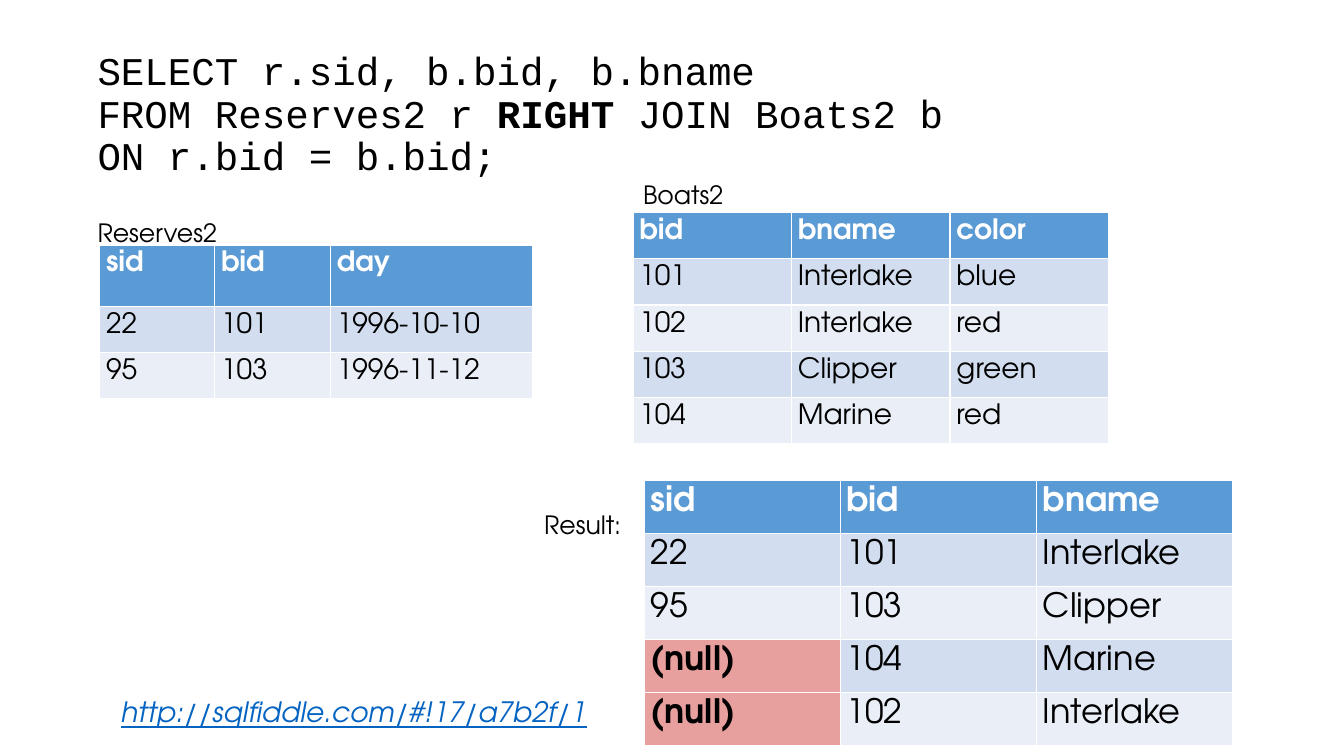
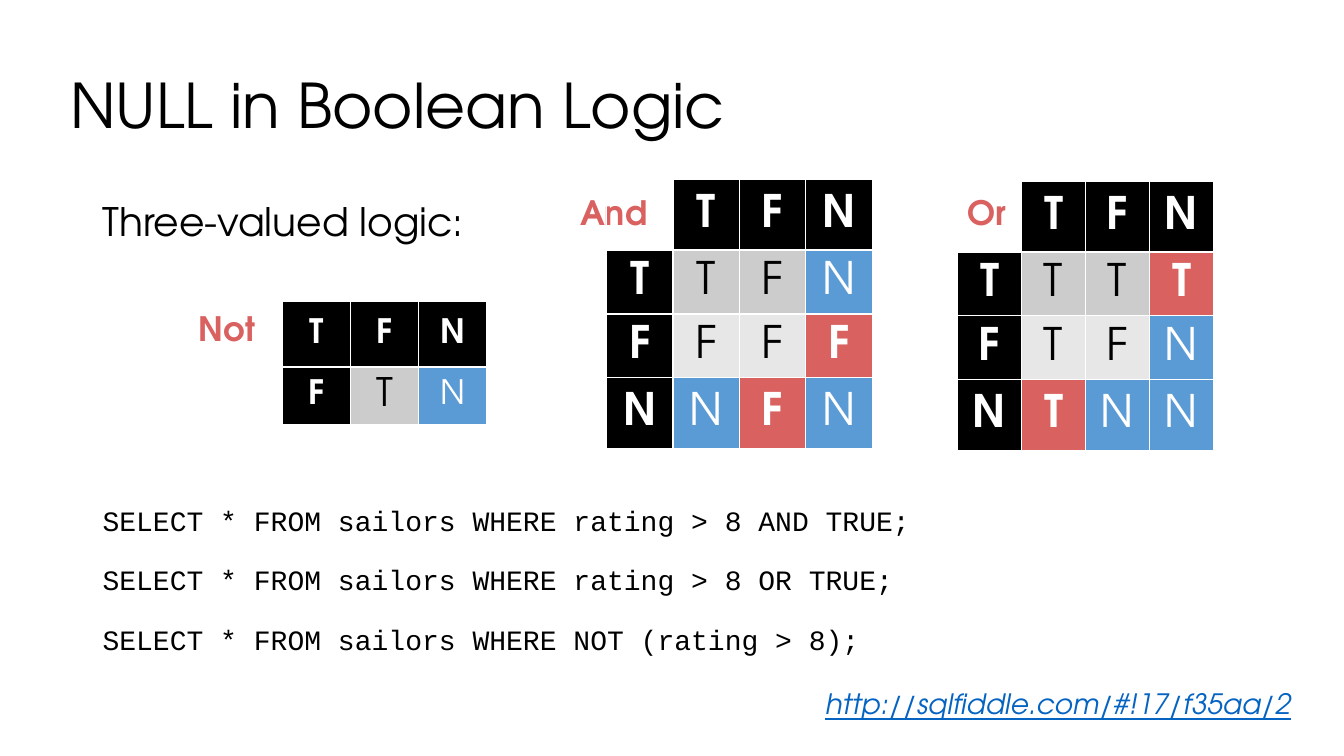
from pptx import Presentation
from pptx import util as u
from pptx.dml import color
from pptx.enum import text

Pt = u.Pt
LEFT, CENTER, RIGHT = text.PP_ALIGN.LEFT, text.PP_ALIGN.CENTER, text.PP_ALIGN.RIGHT
TOP, MIDDLE = text.MSO_ANCHOR.TOP, text.MSO_ANCHOR.MIDDLE

SANS, MONO = "TeX Gyre Adventor", "Courier New"
BLACK, WHITE, BLUE, RED = "000000", "FFFFFF", "5B9BD5", "D9615F"

THEME = {
    "text": {
        "code_title": {"name": MONO, "size": Pt(28), "color": BLACK},
        "title": {"name": SANS, "size": Pt(44), "color": BLACK},
        "lead": {"name": SANS, "size": Pt(28), "color": BLACK},
        "code": {"name": MONO, "size": Pt(20), "color": BLACK},
        "caption": {"name": SANS, "size": Pt(18), "color": BLACK},
        "operator": {"name": SANS, "size": Pt(24), "color": RED, "bold": True},
        "link": {"name": SANS, "size": Pt(20), "color": "0563C1", "italic": True, "underline": True},
    },
    "cell": {
        "head": (BLUE, {"color": WHITE, "bold": True}),
        "odd": ("D2DEEF", {"color": BLACK, "bold": False}),
        "even": ("EAEFF7", {"color": BLACK, "bold": False}),
        "null": ("E8A09F", {"color": BLACK, "bold": True}),
        "corner": (None, {}),
        "key": (BLACK, {"color": WHITE, "bold": True}),
        "dark": ("CCCCCC", {"color": BLACK, "bold": False}),
        "light": ("E7E7E7", {"color": BLACK, "bold": False}),
        "large": ("CCCCCC", {"color": BLACK, "bold": False, "size": Pt(28)}),
        "unknown": (BLUE, {"color": WHITE, "bold": False}),
        "decided": (RED, {"color": WHITE, "bold": True}),
    },
    "para": {
        "code_title": {"line_spacing": 0.9},
        "title": {"line_spacing": 0.9},
        "lead": {"line_spacing": 0.8},
        "code": {"line_spacing": 0.8},
        "operator": {"alignment": RIGHT},
    },
    "code_gap": Pt(23),
}


def write(p, runs, fmt):
    for words, extra in runs:
        for i, line in enumerate(words.split("\n")):
            if i:
                p.add_line_break()
            if not line:
                continue
            r = p.add_run()
            r.text = line
            for key, value in {**fmt, **extra}.items():
                if key == "color":
                    r.font.color.rgb = color.RGBColor.from_string(value)
                else:
                    setattr(r.font, key, value)


def add_grid(s, x, y, widths, heights, rows, size, align, anchor, inset):
    frame = s.shapes.add_table(len(heights), len(widths), Pt(x), Pt(y), Pt(sum(widths)), Pt(sum(heights)))
    tbl = frame.table
    for col, width in zip(tbl.columns, widths):
        col.width = Pt(width)
    for row, height, values in zip(tbl.rows, heights, rows):
        row.height = Pt(height)
        for cell, (words, style) in zip(row.cells, values):
            fill, fmt = THEME["cell"][style]
            if fill:
                cell.fill.solid()
                cell.fill.fore_color.rgb = color.RGBColor.from_string(fill)
            else:
                cell.fill.background()
            cell.vertical_anchor = anchor
            cell.margin_left = cell.margin_right = Pt(inset[0])
            cell.margin_top = cell.margin_bottom = Pt(inset[1])
            p = cell.text_frame.paragraphs[0]
            p.alignment = align
            write(p, [(words, {})], {"name": SANS, "size": Pt(size), **fmt})


prs = Presentation()
prs.slide_width, prs.slide_height = Pt(960), Pt(540)
join_slide, logic_slide = [prs.slides.add_slide(prs.slide_layouts[6]) for _ in range(2)]

query = [
    ("SELECT r.sid, b.bid, b.bname\nFROM Reserves2 r ", {}),
    ("RIGHT ", {"bold": True}),
    ("JOIN Boats2 b\nON r.bid = b.bid;", {}),
]
selects = [
    "SELECT * FROM sailors WHERE rating > 8 AND TRUE;",
    "SELECT * FROM sailors WHERE rating > 8 OR TRUE;",
    "SELECT * FROM sailors WHERE NOT (rating > 8);",
]
boxes = [
    (join_slide, "code_title", 62.6, 37.4, 753, 90, MIDDLE, True, [query]),
    (join_slide, "link", 79.2, 492.5, 360, 31.5, TOP, True, ["http://sqlfiddle.com/#!17/a7b2f/1"]),
    (join_slide, "caption", 62.6, 152, 101, 29, TOP, False, ["Reserves2"]),
    (join_slide, "caption", 452.2, 124.6, 73, 29, TOP, False, ["Boats2"]),
    (join_slide, "caption", 381.6, 360, 70.5, 29, TOP, False, ["Result:"]),
    (logic_slide, "title", 43.2, 25.2, 850, 104.4, MIDDLE, True, ["NULL in Boolean Logic"]),
    (logic_slide, "lead", 66.2, 144, 360, 40, TOP, True, ["Three-valued logic:"]),
    (logic_slide, "code", 66.2, 361, 828, 125, TOP, True, selects),
    (logic_slide, "link", 582.5, 486.7, 360, 31.5, TOP, True, ["http://sqlfiddle.com/#!17/f35aa/2"]),
    (logic_slide, "operator", 132.5, 216.7, 57, 36, TOP, False, ["Not"]),
    (logic_slide, "operator", 406, 133.2, 63.5, 36, TOP, False, ["And"]),
    (logic_slide, "operator", 683.3, 133.2, 42.5, 36, TOP, False, ["Or"]),
]
for s, style, x, y, w, h, anchor, wrap, paragraphs in boxes:
    tf = s.shapes.add_textbox(Pt(x), Pt(y), Pt(w), Pt(h)).text_frame
    tf.word_wrap, tf.vertical_anchor = wrap, anchor
    for i, content in enumerate(paragraphs):
        p = tf.add_paragraph() if i else tf.paragraphs[0]
        for key, value in THEME["para"].get(style, {}).items():
            setattr(p, key, value)
        if i:
            p.space_before = THEME["code_gap"]
        write(p, [(content, {})] if isinstance(content, str) else content, THEME["text"][style])

relations = [
    (71.3, 175, [82.1, 82.8, 144], [43.9, 32, 32], 20,
     ["sid bid day", "22 101 1996-10-10", "95 103 1996-11-12"]),
    (452.2, 151.9, [113.2] * 3, [32] * 5, 20,
     ["bid bname color", "101 Interlake blue", "102 Interlake red", "103 Clipper green", "104 Marine red"]),
    (460.1, 343.4, [140.2] * 3, [36.9] * 5, 24,
     ["sid bid bname", "22 101 Interlake", "95 103 Clipper", "(null) 104 Marine", "(null) 102 Interlake"]),
]
for x, y, widths, heights, size, records in relations:
    rows = []
    for i, record in enumerate(records):
        band = "head" if i == 0 else "odd" if i % 2 else "even"
        rows.append([(v, "null" if v == "(null)" else band) for v in record.split()])
    add_grid(join_slide, x, y, widths, heights, rows, size, LEFT, TOP, (4.5, 4.5))

header = [(v, "key") for v in "TFN"]
for x, y, width, pick in [(433.4, 128.2, 47.4, min), (684, 129.6, 45.7, max)]:
    rows = [[("", "corner")] + header]
    for a, band in zip("TFN", ["dark", "light", "dark"]):
        row = [(a, "key")]
        for b in "TFN":
            value = pick(a, b, key="FNT".index)
            style = "unknown" if value == "N" else "decided" if "N" in a + b else band
            row.append((value, style))
        rows.append(row)
    add_grid(logic_slide, x, y, [width] * 4, [50.4, 44.8, 44.8, 50.4], rows, 32, CENTER, MIDDLE, (7.2, 3.6))

negation = [header, [("F", "key"), ("T", "large"), ("N", "unknown")]]
add_grid(logic_slide, 201.6, 215.3, [48.7] * 3, [46.8, 40.3], negation, 24, CENTER, MIDDLE, (7.2, 3.6))

prs.save("out.pptx")
